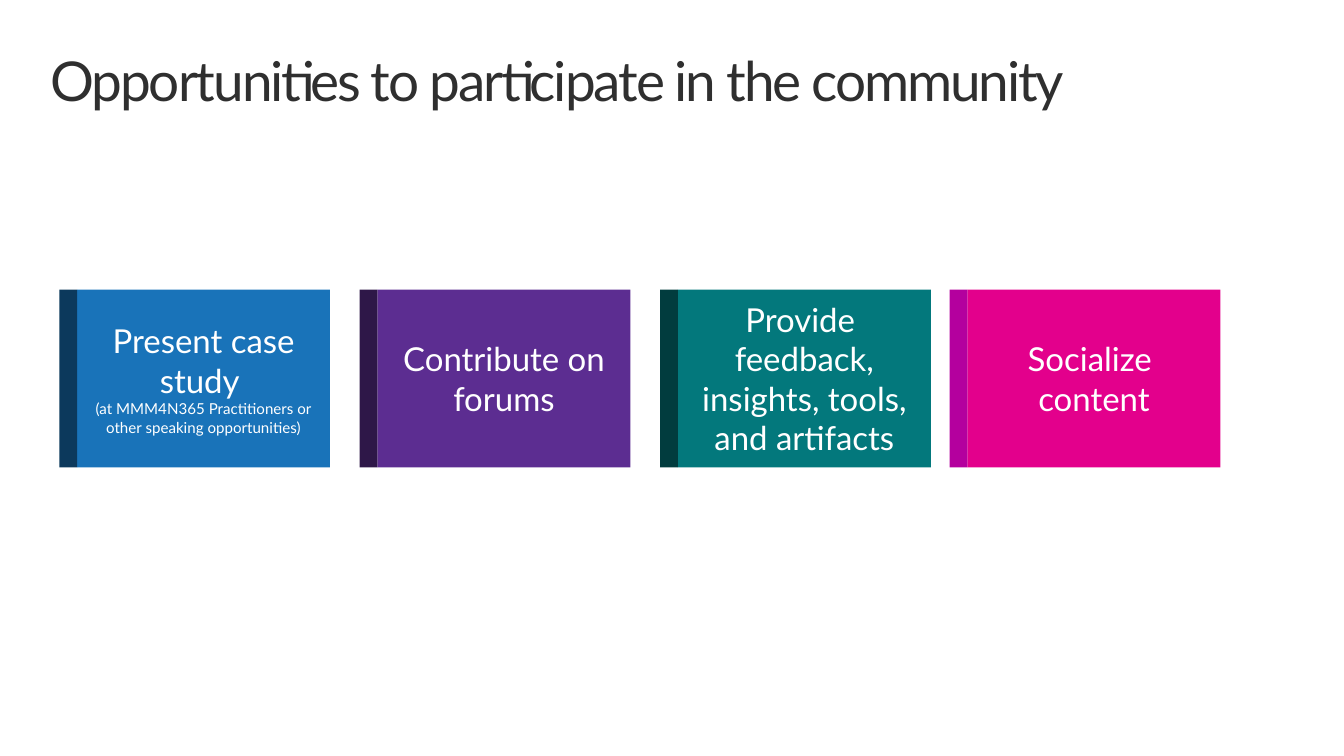
from pptx import Presentation
from pptx.dml.color import RGBColor
from pptx.enum.shapes import MSO_SHAPE
from pptx.enum.text import MSO_ANCHOR, MSO_AUTO_SIZE, PP_ALIGN
from pptx.util import Inches, Pt

RECT = MSO_SHAPE.RECTANGLE
TOP, MIDDLE = MSO_ANCHOR.TOP, MSO_ANCHOR.MIDDLE
LEFT, CENTER = PP_ALIGN.LEFT, PP_ALIGN.CENTER
NO_FIT = MSO_AUTO_SIZE.NONE

SLIDE_W, SLIDE_H = 13.6, 7.65
FONT = "Lato"
STRIP_W, CARD_W, CARD_H = 0.18, 2.74, 1.8
CARD_TOP, FIRST_LEFT, CARD_STEP, LAST_LEFT = 2.93, 0.6, 3.04, 9.61

CARDS = [
    ("1973B9", "0C395C", [[("Present case study ", 24),
                           ("(at MMM4N365 Practitioners or other speaking opportunities)", 11)]]),
    ("5C2D91", "2E1748", [[("Contribute on forums", 24)]]),
    ("03787C", "013C3E", [[("Provide ", 24),
                           ("feedback, insights, tools, and artifacts", 24)]]),
    ("E3008C", "B4009E", [[("Socialize ", 24)], [("content", 24)]]),
]


def rgb(value):
    """Turn a hex string into a colour."""
    return RGBColor.from_string(value)


def set_attrs(obj, values):
    """Set each named attribute on an object."""
    for name, value in values.items():
        setattr(obj, name, value)


def set_frame(tf, anchor, inset):
    """Format a text frame with no side margins."""
    set_attrs(tf, {"word_wrap": True, "auto_size": NO_FIT, "vertical_anchor": anchor,
                   "margin_left": 0, "margin_right": 0,
                   "margin_top": Inches(inset), "margin_bottom": Inches(inset)})


def add_run(p, text, size, color):
    """Append a formatted run to a paragraph."""
    r = p.add_run()
    r.text = text
    set_attrs(r.font, {"name": FONT, "size": Pt(size)})
    r.font.color.rgb = rgb(color)
    return r


def add_title(s, text, box):
    """Place and format the title placeholder."""
    sp = s.shapes.title
    set_attrs(sp, dict(zip(("left", "top", "width", "height"), map(Inches, box))))
    set_frame(sp.text_frame, TOP, 0)
    p = sp.text_frame.paragraphs[0]
    set_attrs(p, {"alignment": LEFT, "line_spacing": Pt(32)})
    r = add_run(p, text, 40, "2F2F2F")
    r.font._element.set("spc", "-150")


def add_rect(s, box, color):
    """Draw a plain filled rectangle."""
    sp = s.shapes.add_shape(RECT, *map(Inches, box))
    sp.shadow.inherit = False
    sp.fill.solid()
    sp.fill.fore_color.rgb = rgb(color)
    sp.line.fill.background()
    return sp


def add_card(s, box, face, strip, paragraphs):
    """Draw a card with a dark strip on its left and centred text."""
    x, y, w, h = box
    sp = add_rect(s, (x + STRIP_W, y, w - STRIP_W, h), face)
    add_rect(s, (x, y, STRIP_W, h), strip)
    tf = sp.text_frame
    set_frame(tf, MIDDLE, 0.05)
    for i, lines in enumerate(paragraphs):
        p = tf.add_paragraph() if i else tf.paragraphs[0]
        p.alignment = CENTER
        for j, (text, size) in enumerate(lines):
            if j:
                p.add_line_break()
            add_run(p, text, size, "FFFFFF")


def main():
    """Build the slide and save it."""
    prs = Presentation()
    set_attrs(prs, {"slide_width": Inches(SLIDE_W), "slide_height": Inches(SLIDE_H)})
    s = prs.slides.add_slide(prs.slide_layouts[5])
    add_title(s, "Opportunities to participate in the community", (0.51, 0.69, 12.61, 0.46))
    lefts = [FIRST_LEFT + i * CARD_STEP for i in range(len(CARDS) - 1)] + [LAST_LEFT]
    for x, card in zip(lefts, CARDS):
        add_card(s, (x, CARD_TOP, CARD_W, CARD_H), *card)
    prs.save("out.pptx")


if __name__ == "__main__":
    main()
